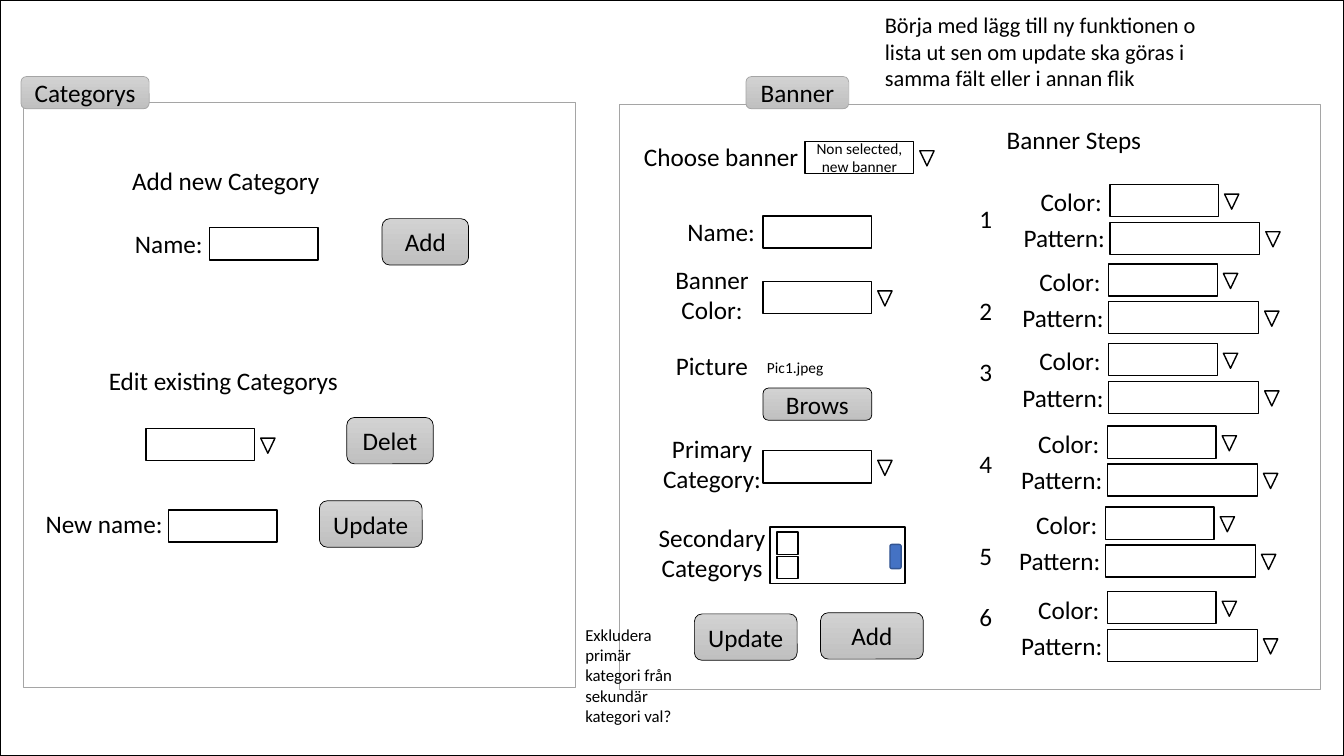
from pptx import Presentation
from pptx import util as u
from pptx.dml.color import RGBColor
from pptx.enum import shapes, text

COLORS = {
    "white": "FFFFFF", "black": "000000", "grey": "A5A5A5",
    "light": "D2D2D2", "dark": "C0C0C0",
    "blue": "4472C4", "navy": "325491",
}
FONT = "Calibri"
ROW_H = 0.81
FIELD_W = 2.74
KIND = shapes.MSO_SHAPE
ALIGN = text.PP_ALIGN


def rgb(name):
    return RGBColor.from_string(COLORS[name])


def box(parent, x, y, w, h, kind=KIND.RECTANGLE, fill="white", line="black", weight=1):
    sp = parent.add_shape(kind, u.Cm(x), u.Cm(y), u.Cm(w), u.Cm(h))
    sp.shadow.inherit = False
    sp.fill.solid()
    sp.fill.fore_color.rgb = rgb(fill)
    sp.line.color.rgb = rgb(line)
    sp.line.width = u.Pt(weight)
    return sp


def write(sp, lines, size=18, align=ALIGN.CENTER, anchor=text.MSO_ANCHOR.MIDDLE):
    tf = sp.text_frame
    tf.word_wrap = True
    tf.vertical_anchor = anchor
    tf.text = lines
    for p in tf.paragraphs:
        p.alignment = align
        p.font.size = u.Pt(size)
        p.font.name = FONT
        p.font.color.rgb = rgb("black")
    return tf


def button(parent, x, y, w, h, caption, line="black"):
    sp = box(parent, x, y, w, h, KIND.ROUNDED_RECTANGLE, line=line, weight=0.5)
    sp.fill.gradient()
    sp.fill.gradient_angle = 270
    for stop, name in zip(sp.fill.gradient_stops, ("light", "dark")):
        stop.color.rgb = rgb(name)
    write(sp, caption)


def label(parent, x, y, w, caption):
    sp = parent.add_textbox(u.Cm(x), u.Cm(y), u.Cm(w), u.Cm(ROW_H))
    write(sp, caption)


def note(parent, x, y, w, h, caption, size=18):
    sp = parent.add_textbox(u.Cm(x), u.Cm(y), u.Cm(w), u.Cm(h))
    tf = write(sp, caption, size, ALIGN.LEFT, text.MSO_ANCHOR.TOP)
    tf.auto_size = text.MSO_AUTO_SIZE.SHAPE_TO_FIT_TEXT
    return tf


def field(parent, x, y, w=FIELD_W):
    return box(parent, x, y, w, ROW_H)


def dropdown(parent, x, y, w=FIELD_W):
    sp = field(parent, x, y, w)
    arrow = box(parent, x + w + 0.15, y + 0.24, 0.36, 0.38, KIND.ISOSCELES_TRIANGLE)
    arrow.rotation = 180
    return sp


def banner_step(parent, x, y):
    step = parent.add_group_shape().shapes
    dropdown(step, x, y)
    label(step, x - 2.22, y + 0.03, 2.49, "Color:")
    dropdown(step, x, y + 0.95, 3.78)
    label(step, x - 2.52, y + 0.94, 2.74, "Pattern:")


def category_panel(s):
    box(s, 0.58, 2.57, 13.92, 14.76, line="grey", weight=0.5)
    button(s, 0.53, 1.93, 3.23, ROW_H, "Categorys", "grey")

    # Add a category
    label(s, 2.64, 4.14, 6.1, "Add new Category")
    label(s, 2.64, 5.74, 3.23, "Name:")
    field(s, 5.28, 5.74)
    button(s, 9.63, 5.51, 2.18, 1.17, "Add")

    # Edit a category
    label(s, 2.01, 9.17, 7.24, "Edit existing Categorys")
    dropdown(s, 3.68, 10.8)
    button(s, 8.74, 10.52, 2.18, 1.17, "Delet")
    label(s, 0.53, 12.78, 4.19, "New name:")
    field(s, 4.24, 12.85)
    button(s, 8.05, 12.62, 2.59, 1.17, "Update")


def banner_panel(s):
    box(s, 15.62, 2.62, 17.65, 14.76, line="grey", weight=0.5)
    button(s, 18.8, 1.93, 2.59, ROW_H, "Banner", "grey")

    # Banner choice
    note(s, 15.98, 3.43, 4.55, 1.02, "Choose banner")
    write(dropdown(s, 20.29, 3.56), "Non selected, new banner", 11)

    # Banner properties
    label(s, 16.56, 5.44, 3.23, "Name:")
    field(s, 19.23, 5.44)
    for y, caption in ((7.01, "Banner Color:"), (11.28, "Primary Category:")):
        label(s, 16.33, y, 3.23, caption)
        dropdown(s, 19.23, y + 0.08)
    label(s, 16.33, 8.81, 3.23, "Picture")
    note(s, 19.08, 8.89, 2.9, 0.74, "Pic1.jpeg", 11)
    button(s, 19.23, 9.78, FIELD_W, ROW_H, "Brows")

    # Secondary categories list
    box(s, 19.41, 13.28, 3.4, 1.42)
    label(s, 16.33, 13.51, 3.23, "Secondary Categorys")
    for y in (13.41, 14.02):
        box(s, 19.58, y, 0.53, 0.56)
    box(s, 22.43, 13.72, 0.28, 0.61, KIND.ROUNDED_RECTANGLE, "blue", "navy")

    button(s, 17.5, 15.47, 2.59, 1.17, "Update")
    button(s, 20.68, 15.44, 2.59, 1.17, "Add")


def banner_steps(s):
    note(s, 25.12, 3.02, 5.46, 1.02, "Banner Steps")
    numbers = note(s, 24.43, 5, 1.09, 11.02, "1\n2\n3\n4\n5\n6")
    for p, gap in zip(numbers.paragraphs, (0, 44, 22, 44, 44, 22)):
        p.space_before = u.Pt(gap)
    for x, y in ((27.97, 4.65), (27.94, 6.65), (27.94, 8.66),
                 (27.91, 10.74), (27.86, 12.78), (27.91, 14.91)):
        banner_step(s, x, y)


def main():
    prs = Presentation()
    prs.slide_width, prs.slide_height = u.Cm(33.87), u.Cm(19.05)
    s = prs.slides.add_slide(prs.slide_layouts[6]).shapes

    # Window and its panels
    box(s, 0, 0, 33.87, 19.05)
    category_panel(s)
    banner_panel(s)
    banner_steps(s)

    # Design remarks
    note(s, 22.05, 0.15, 8.64, 2.31, "Börja med lägg till ny funktionen o lista ut sen "
         "om update ska göras i samma fält eller i annan flik", 16)
    note(s, 14.5, 15.62, 2.74, 2.82,
         "Exkludera primär kategori från sekundär kategori val?", 12)

    prs.save("out.pptx")


if __name__ == "__main__":
    main()
